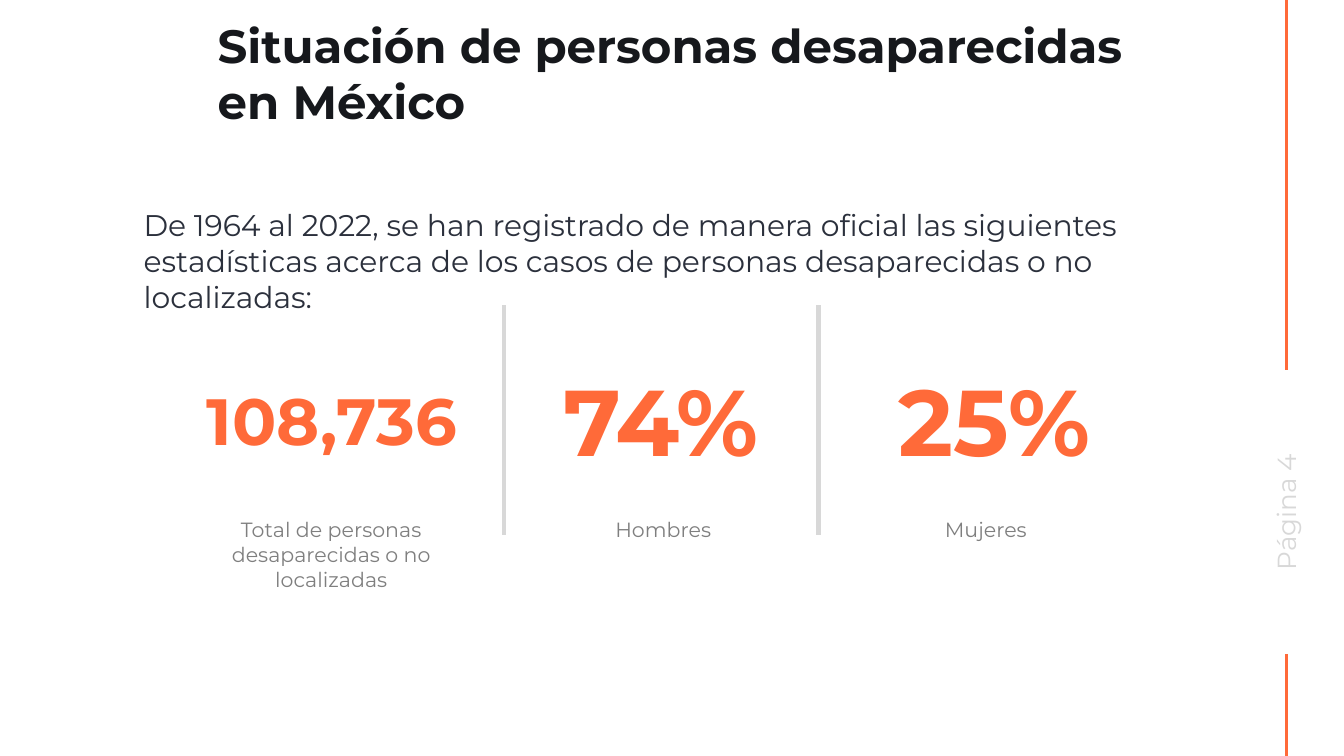
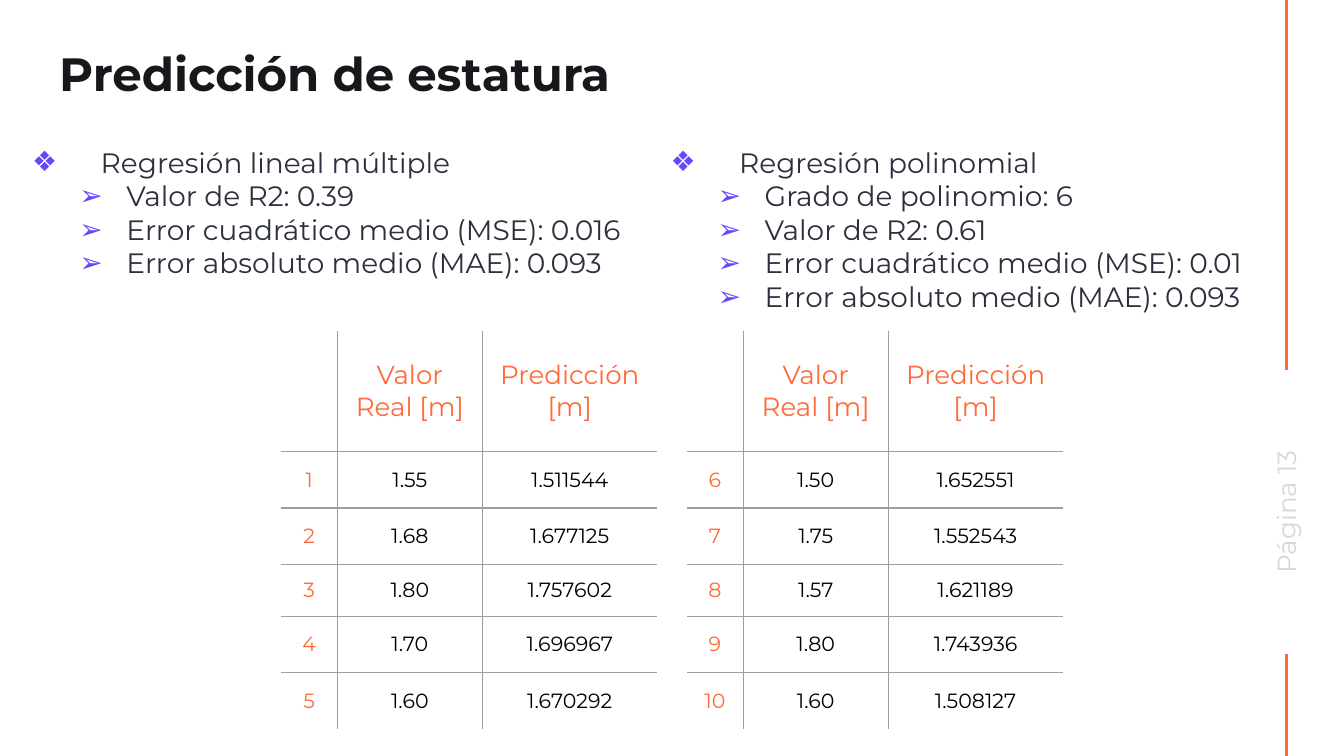
from dataclasses import dataclass

from lxml import etree
from pptx import Presentation
from pptx import util as u
from pptx.dml.color import RGBColor
from pptx.enum import shapes, text
from pptx.oxml import ns

COLORS = {
    "paper": "FFFFFF",
    "title": "16181C",
    "body": "2B303C",
    "accent": "FF6A39",
    "bullet": "6349FC",
    "muted": "7F7F7F",
    "pale": "D8D8D8",
    "grid": "9E9E9E",
    "value": "000000",
}
FONT = "Montserrat"
COLUMNS, ROWS = 100, 56.25
CELL = u.Inches(0.1)

RAIL_COLUMN = 95.7
RAIL_SPANS = ((0, 27.5), (48.7, ROWS))
DIVIDER_COLUMNS = (37.5, 60.9)
DIVIDER_SPAN = (22.7, 39.8)

TABLE_TOP = 24.6
TABLE_COLUMNS = (4.2, 10.8, 13)
TABLE_ROWS = (9, 4.2, 4.2, 3.8, 4.2, 4.2)
TABLE_HEADER = ("", "Valor Real [m]", "Predicción [m]")


@dataclass(frozen=True)
class Box:
    left: float
    top: float
    width: float
    height: float

    def lengths(self) -> tuple:
        return tuple(grid(n) for n in (self.left, self.top, self.width, self.height))


@dataclass(frozen=True)
class Statistic:
    value: str
    size: int
    value_left: float
    label: str
    label_left: float


@dataclass(frozen=True)
class Regression:
    list_left: float
    name: str
    scores: tuple


@dataclass(frozen=True)
class Sample:
    table_left: float
    first_number: int
    heights: tuple


@dataclass(frozen=True)
class Bullet:
    character: str
    level: int
    margin: float
    indent: float


MAIN_BULLET = Bullet("❖", 0, 8.1, -5.1)
SCORE_BULLET = Bullet("➢", 1, 10, -3.5)

STATISTICS = (
    Statistic("108,736", 35, 14.1, "Total de personas desaparecidas o no localizadas", 16.2),
    Statistic("74%", 50, 38.6, "Hombres", 40.9),
    Statistic("25%", 50, 63.4, "Mujeres", 64.9),
)
REGRESSIONS = (
    Regression(-2.2, "Regresión lineal múltiple", (
        "Valor de R2: 0.39",
        "Error cuadrático medio (MSE): 0.016",
        "Error absoluto medio (MAE): 0.093",
    )),
    Regression(45.3, "Regresión polinomial", (
        "Grado de polinomio: 6",
        "Valor de R2: 0.61",
        "Error cuadrático medio (MSE): 0.01",
        "Error absoluto medio (MAE): 0.093",
    )),
)
SAMPLES = (
    Sample(20.9, 1, (
        ("1.55", "1.511544"), ("1.68", "1.677125"), ("1.80", "1.757602"),
        ("1.70", "1.696967"), ("1.60", "1.670292"),
    )),
    Sample(51.1, 6, (
        ("1.50", "1.652551"), ("1.75", "1.552543"), ("1.57", "1.621189"),
        ("1.80", "1.743936"), ("1.60", "1.508127"),
    )),
)


def grid(count: float) -> int:
    return round(count * CELL)


def rgb(name: str) -> RGBColor:
    return RGBColor.from_string(COLORS[name])


def add_solid_fill(parent, tag: str, color: str) -> None:
    element = etree.SubElement(parent, ns.qn(tag))
    etree.SubElement(element, ns.qn("a:srgbClr"), val=COLORS[color])


def set_bullet(paragraph, bullet: Bullet) -> None:
    paragraph.level = bullet.level
    properties = paragraph._p.get_or_add_pPr()
    properties.set("marL", str(grid(bullet.margin)))
    properties.set("indent", str(grid(bullet.indent)))
    add_solid_fill(properties, "a:buClr", COLOR_OF_BULLET)
    etree.SubElement(properties, ns.qn("a:buFont"), typeface=FONT)
    etree.SubElement(properties, ns.qn("a:buChar"), char=bullet.character)


COLOR_OF_BULLET = "bullet"


def write(paragraph, content: str, *, size: float, color: str, bold: bool = False,
          align=text.PP_ALIGN.LEFT, bullet: Bullet | None = None) -> None:
    if bullet:
        set_bullet(paragraph, bullet)
    paragraph.alignment = align
    paragraph.space_before = u.Pt(0)
    run = paragraph.add_run()
    run.text = content
    run.font.name = FONT
    run.font.size = u.Pt(size)
    run.font.bold = bold
    run.font.color.rgb = rgb(color)


def prepare_frame(frame, inset: float = 1, anchor=text.MSO_ANCHOR.TOP) -> None:
    frame.word_wrap = True
    frame.auto_size = text.MSO_AUTO_SIZE.NONE
    frame.vertical_anchor = anchor
    frame.margin_left = frame.margin_right = grid(inset)
    frame.margin_top = frame.margin_bottom = grid(inset)


def place(shape, box: Box) -> None:
    shape.left, shape.top, shape.width, shape.height = box.lengths()


def add_text(slide, box: Box, content: str, anchor=text.MSO_ANCHOR.TOP, **style):
    shape = slide.shapes.add_textbox(*box.lengths())
    prepare_frame(shape.text_frame, anchor=anchor)
    write(shape.text_frame.paragraphs[0], content, **style)
    return shape


def add_vertical(slide, column: float, span: tuple, color: str, weight: float) -> None:
    top, bottom = span
    line = slide.shapes.add_connector(
        shapes.MSO_CONNECTOR.STRAIGHT, grid(column), grid(top), grid(column), grid(bottom))
    line.line.color.rgb = rgb(color)
    line.line.width = u.Pt(weight)
    etree.SubElement(line._element.spPr, ns.qn("a:effectLst"))


def add_page(presentation, layout: int, title: str, title_left: float,
             title_width: float, number: int):
    slide = presentation.slides.add_slide(presentation.slide_layouts[layout])
    slide.background.fill.solid()
    slide.background.fill.fore_color.rgb = rgb("paper")
    heading = slide.shapes.title
    place(heading, Box(title_left, 2.9, title_width, 5.1))
    prepare_frame(heading.text_frame, anchor=text.MSO_ANCHOR.MIDDLE)
    write(heading.text_frame.paragraphs[0], title, size=25, color="title", bold=True)
    for span in RAIL_SPANS:
        add_vertical(slide, RAIL_COLUMN, span, "accent", 1.5)
    page = add_text(slide, Box(85, 35.9, 21.4, 4.4), f"Página {number}",
                    size=14, color="pale", align=text.PP_ALIGN.CENTER)
    page.rotation = 270
    return slide


def add_statistic(slide, statistic: Statistic) -> None:
    add_text(slide, Box(statistic.value_left, 21.6, 21.2, 19.2), statistic.value,
             anchor=text.MSO_ANCHOR.MIDDLE, size=statistic.size, color="accent",
             bold=True, align=text.PP_ALIGN.CENTER)
    add_text(slide, Box(statistic.label_left, 37.5, 16.9, 13.6), statistic.label,
             size=11, color="muted", align=text.PP_ALIGN.CENTER)


def fill_regression(placeholder, regression: Regression) -> None:
    place(placeholder, Box(regression.list_left, 9.2, 51.5, 14.3))
    frame = placeholder.text_frame
    prepare_frame(frame, inset=1.6)
    write(frame.paragraphs[0], regression.name, size=15, color="body", bullet=MAIN_BULLET)
    for score in regression.scores:
        write(frame.add_paragraph(), score, size=15, color="body", bullet=SCORE_BULLET)


def set_borders(cell, visible: dict) -> None:
    properties = cell._tc.get_or_add_tcPr()
    for side, shown in visible.items():
        line = etree.SubElement(properties, ns.qn(f"a:ln{side}"), w=str(u.Pt(0.75)))
        if shown:
            add_solid_fill(line, "a:solidFill", "grid")
        else:
            etree.SubElement(line, ns.qn("a:noFill"))


def add_sample(slide, sample: Sample) -> None:
    box = Box(sample.table_left, TABLE_TOP, sum(TABLE_COLUMNS), sum(TABLE_ROWS))
    last_row, last_column = len(TABLE_ROWS) - 1, len(TABLE_COLUMNS) - 1
    table = slide.shapes.add_table(last_row + 1, last_column + 1, *box.lengths()).table
    table.first_row = table.horz_banding = False
    for column, width in zip(table.columns, TABLE_COLUMNS):
        column.width = grid(width)
    for row, height in zip(table.rows, TABLE_ROWS):
        row.height = grid(height)
    numbered = [(str(number), *pair) for number, pair
                in enumerate(sample.heights, sample.first_number)]
    for i, values in enumerate([TABLE_HEADER, *numbered]):
        for j, value in enumerate(values):
            cell = table.cell(i, j)
            set_borders(cell, {"L": j > 0, "R": j < last_column,
                               "T": i > 0, "B": i < last_row})
            cell.fill.background()
            cell.vertical_anchor = text.MSO_ANCHOR.MIDDLE
            cell.margin_left = cell.margin_right = grid(1)
            cell.margin_top = cell.margin_bottom = grid(1)
            if value:
                write(cell.text_frame.paragraphs[0], value, size=11 if i else 14,
                      color="value" if i and j else "accent", align=text.PP_ALIGN.CENTER)


def build_situation(presentation) -> None:
    slide = add_page(presentation, 5, "Situación de personas desaparecidas en México",
                     15.2, 70.4, 4)
    for column in DIVIDER_COLUMNS:
        add_vertical(slide, column, DIVIDER_SPAN, "pale", 2.25)
    for statistic in STATISTICS:
        add_statistic(slide, statistic)
    add_text(slide, Box(9.7, 14.4, 79.2, 12.3),
             "De 1964 al 2022, se han registrado de manera oficial las siguientes "
             "estadísticas acerca de los casos de personas desaparecidas o no localizadas:",
             size=16, color="body")


def build_prediction(presentation) -> None:
    slide = add_page(presentation, 3, "Predicción de estatura", 3.4, 61, 13)
    for index, regression in enumerate(REGRESSIONS, 1):
        fill_regression(slide.placeholders[index], regression)
    for sample in SAMPLES:
        add_sample(slide, sample)


def main() -> None:
    presentation = Presentation()
    presentation.slide_width = grid(COLUMNS)
    presentation.slide_height = grid(ROWS)
    build_situation(presentation)
    build_prediction(presentation)
    presentation.save("out.pptx")


if __name__ == "__main__":
    main()
